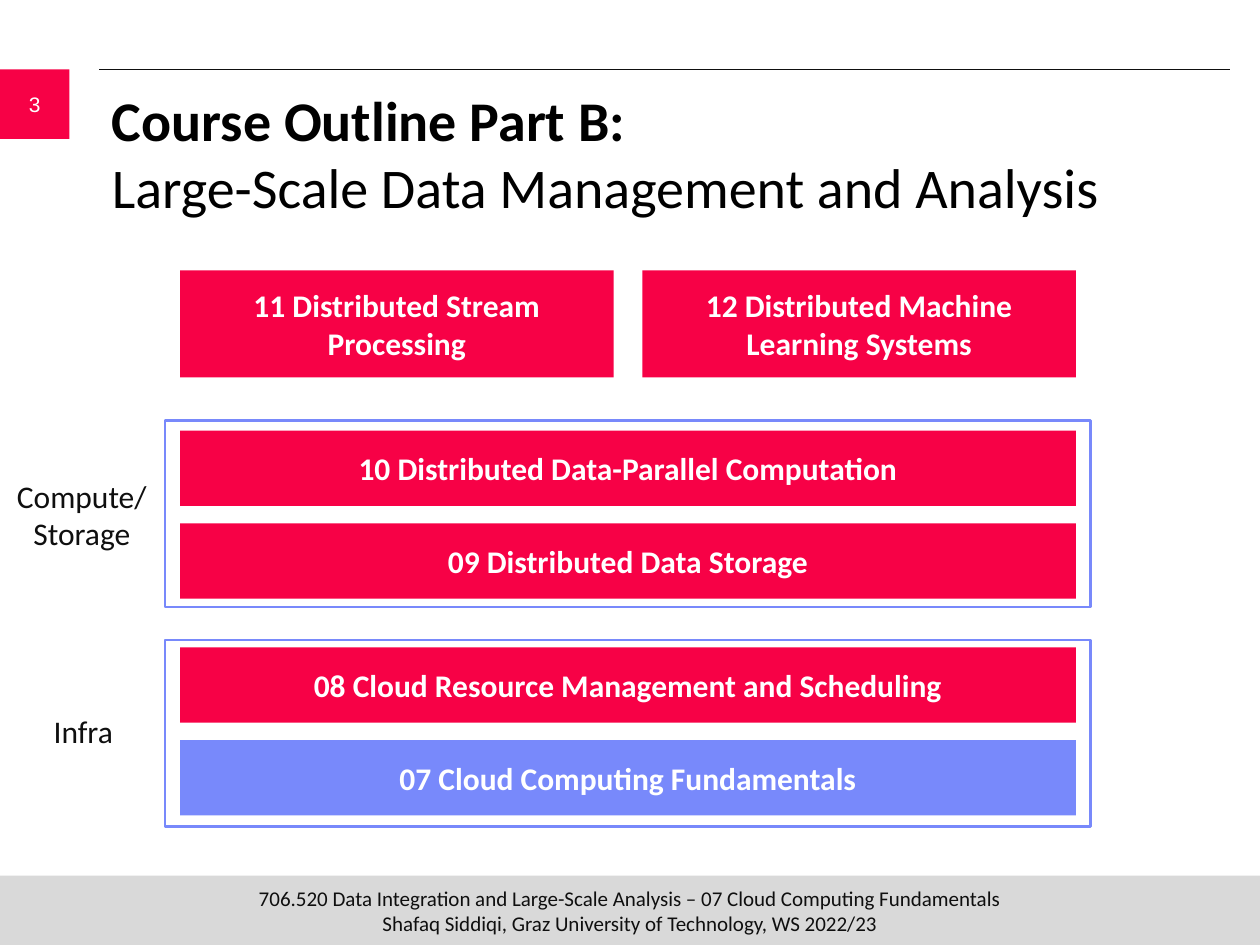
from dataclasses import dataclass

from lxml.etree import SubElement
from pptx import Presentation
from pptx.dml.color import RGBColor
from pptx.enum.shapes import MSO_CONNECTOR, MSO_SHAPE
from pptx.enum.text import MSO_ANCHOR, PP_ALIGN
from pptx.oxml.ns import qn
from pptx.util import Cm, Pt


@dataclass(frozen=True)
class Theme:
    red: RGBColor = RGBColor(0xF7, 0x01, 0x46)
    blue: RGBColor = RGBColor(0x78, 0x89, 0xFB)
    gray: RGBColor = RGBColor(0xD9, 0xD9, 0xD9)
    ink: RGBColor = RGBColor(0x0F, 0x0F, 0x0F)
    black: RGBColor = RGBColor(0, 0, 0)
    white: RGBColor = RGBColor(0xFF, 0xFF, 0xFF)
    font: str = "Calibri"
    number_font: str = "Arial"
    title_size: int = 32
    body_size: int = 18
    small_size: int = 12


@dataclass(frozen=True)
class Box:
    """A rectangle in centimetres."""
    left: float
    top: float
    width: float
    height: float

    def lengths(self) -> tuple:
        return Cm(self.left), Cm(self.top), Cm(self.width), Cm(self.height)


@dataclass(frozen=True)
class Layer:
    """A framed group of lectures, listed from top to bottom."""
    label: str
    label_box: Box
    frame: Box
    first_bar_top: float
    lectures: tuple


THEME = Theme()
SLIDE_WIDTH, SLIDE_HEIGHT = 25.4, 19.05
BAR_LEFT, BAR_WIDTH, BAR_HEIGHT, BAR_PITCH = 3.63, 18.06, 1.52, 1.87
TOP_WIDTH, TOP_HEIGHT, TOP_Y = 8.74, 2.16, 5.45
CURRENT_LECTURE = "07 Cloud Computing Fundamentals"

TOP_LECTURES = (
    "11 Distributed Stream\vProcessing",
    "12 Distributed Machine Learning Systems",
)
LAYERS = (
    Layer("Compute/\vStorage", Box(0.2, 9.47, 2.9, 1.8),
          Box(3.33, 8.48, 18.66, 3.76), 8.68,
          ("10 Distributed Data-Parallel Computation",
           "09 Distributed Data Storage")),
    Layer("Infra", Box(0.08, 14.22, 3.2, 1.02),
          Box(3.33, 12.9, 18.66, 3.76), 13.05,
          ("08 Cloud Resource Management and Scheduling", CURRENT_LECTURE)),
)


def format_run(run, size: int, color: RGBColor, bold: bool = False,
               font: str = THEME.font) -> None:
    run.font.name = font
    run.font.size = Pt(size)
    run.font.bold = bold
    run.font.color.rgb = color


def write_centred(shape, text: str, size: int, color: RGBColor,
                  bold: bool = False, font: str = THEME.font) -> None:
    text_frame = shape.text_frame
    text_frame.word_wrap = True
    text_frame.vertical_anchor = MSO_ANCHOR.MIDDLE
    text_frame.text = text
    paragraph = text_frame.paragraphs[0]
    paragraph.alignment = PP_ALIGN.CENTER
    for run in paragraph.runs:
        format_run(run, size, color, bold, font)


def add_rectangle(slide, box: Box, fill: RGBColor | None = None,
                  line: RGBColor | None = None):
    shape = slide.shapes.add_shape(MSO_SHAPE.RECTANGLE, *box.lengths())
    shape.shadow.inherit = False
    if fill is None:
        shape.fill.background()
    else:
        shape.fill.solid()
        shape.fill.fore_color.rgb = fill
    if line is None:
        shape.line.fill.background()
    else:
        shape.line.color.rgb = line
        shape.line.width = Pt(1.5)
    return shape


def add_lecture(slide, box: Box, text: str) -> None:
    fill = THEME.blue if text == CURRENT_LECTURE else THEME.red
    shape = add_rectangle(slide, box, fill)
    write_centred(shape, text, THEME.body_size, THEME.white, bold=True)


def add_layer(slide, layer: Layer) -> None:
    for index, lecture in enumerate(layer.lectures):
        top = layer.first_bar_top + index * BAR_PITCH
        add_lecture(slide, Box(BAR_LEFT, top, BAR_WIDTH, BAR_HEIGHT), lecture)
    add_rectangle(slide, layer.frame, line=THEME.blue)
    label = slide.shapes.add_textbox(*layer.label_box.lengths())
    label.text_frame.margin_left = label.text_frame.margin_right = 0
    write_centred(label, layer.label, THEME.body_size, THEME.ink)


def add_page_furniture(slide) -> None:
    footer = add_rectangle(slide, Box(0, 17.65, SLIDE_WIDTH, 1.4), THEME.gray)
    footer.text_frame.margin_top = footer.text_frame.margin_bottom = 0
    write_centred(
        footer,
        "706.520 Data Integration and Large-Scale Analysis – "
        "07 Cloud Computing Fundamentals\v"
        "Shafaq Siddiqi, Graz University of Technology, WS 2022/23",
        THEME.small_size, THEME.ink)
    rule = slide.shapes.add_connector(
        MSO_CONNECTOR.STRAIGHT, Cm(2), Cm(1.4), Cm(24.8), Cm(1.4))
    rule.line.color.rgb = THEME.ink
    rule.line.width = Pt(0.5)
    SubElement(rule.element.spPr, qn("a:effectLst"))
    page_number = add_rectangle(slide, Box(0, 1.4, 1.4, 1.4), THEME.red)
    write_centred(page_number, "3", THEME.small_size, THEME.white,
                  font=THEME.number_font)


def set_title(slide, heading: str, subject: str) -> None:
    title = slide.shapes.title
    title.left, title.top, title.width, title.height = Box(
        2, 1.6, 22.76, 2.11).lengths()
    title.text_frame.word_wrap = True
    title.text_frame.vertical_anchor = MSO_ANCHOR.TOP
    paragraph = title.text_frame.paragraphs[0]
    paragraph.alignment = PP_ALIGN.LEFT
    paragraph.font.size = Pt(THEME.title_size)
    heading_run = paragraph.add_run()
    heading_run.text = heading
    paragraph.add_line_break()
    subject_run = paragraph.add_run()
    subject_run.text = subject
    format_run(heading_run, THEME.title_size, THEME.black, bold=True)
    format_run(subject_run, THEME.title_size, THEME.black)


def main() -> None:
    presentation = Presentation()
    presentation.slide_width = Cm(SLIDE_WIDTH)
    presentation.slide_height = Cm(SLIDE_HEIGHT)
    slide = presentation.slides.add_slide(presentation.slide_layouts[5])
    add_page_furniture(slide)
    set_title(slide, "Course Outline Part B:",
              "Large-Scale Data Management and Analysis")
    for index, lecture in enumerate(TOP_LECTURES):
        left = BAR_LEFT + index * (BAR_WIDTH - TOP_WIDTH)
        add_lecture(slide, Box(left, TOP_Y, TOP_WIDTH, TOP_HEIGHT), lecture)
    for layer in LAYERS:
        add_layer(slide, layer)
    presentation.save("out.pptx")


if __name__ == "__main__":
    main()
